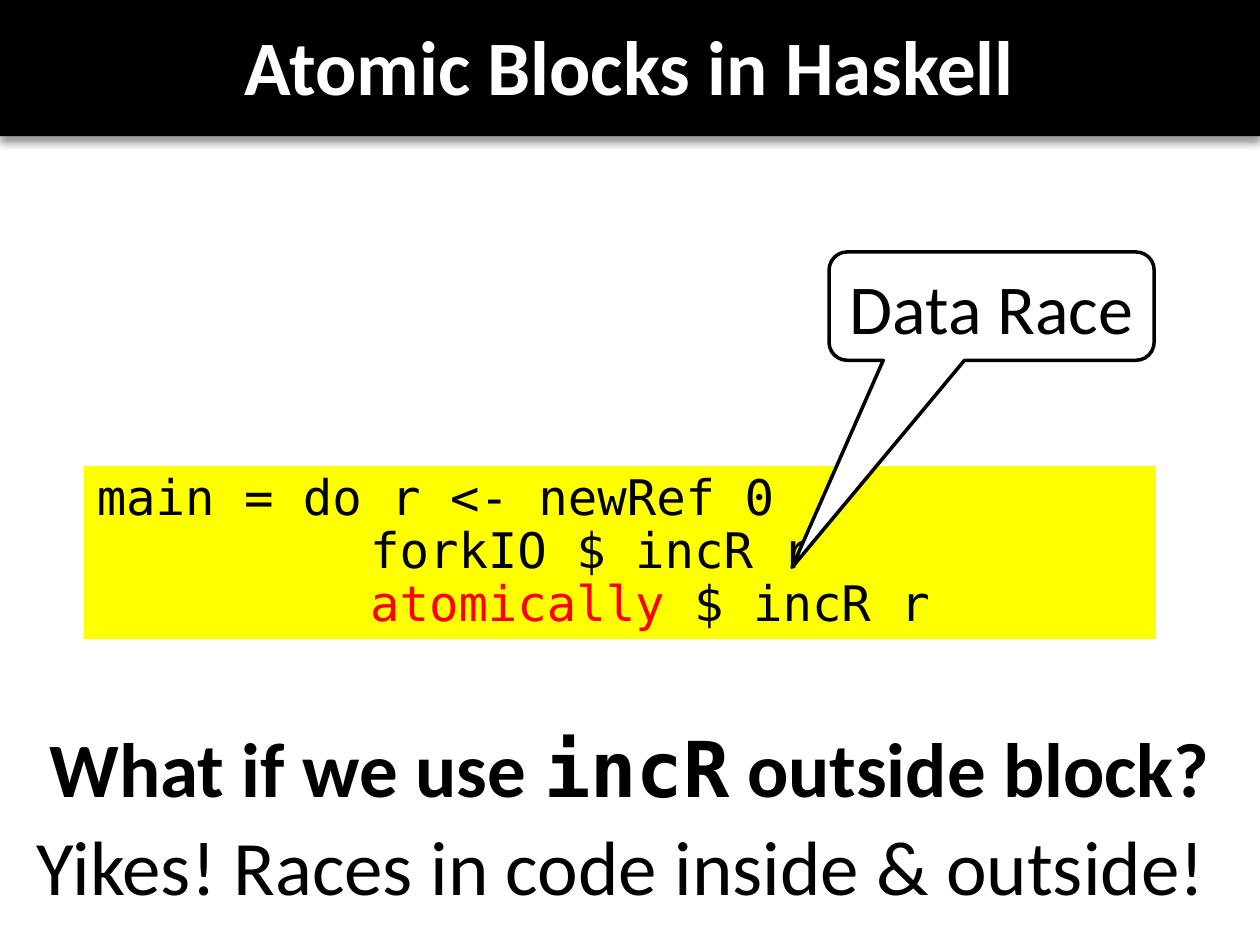
from dataclasses import dataclass
from lxml.etree import SubElement
from pptx import Presentation
from pptx.dml.color import RGBColor
from pptx.enum.shapes import MSO_SHAPE
from pptx.enum.text import MSO_ANCHOR, PP_ALIGN
from pptx.oxml import parse_xml
from pptx.oxml.ns import nsdecls, qn
from pptx.util import Inches, Pt


@dataclass(frozen=True)
class Theme:
    """Hold the colours, fonts and type sizes of the slide."""
    black: str = "000000"
    white: str = "FFFFFF"
    yellow: str = "FFFF00"
    red: str = "FF0000"
    sans: str = "Calibri"
    mono: str = "DejaVu Sans Mono"
    big: int = 44
    label: int = 40
    code: int = 28


THEME = Theme()


def style(font, size=None, name=None, color=None, bold=None):
    """Set only the font values that are given."""
    if size:
        font.size = Pt(size)
    if name:
        font.name = name
    if color:
        font.color.rgb = RGBColor.from_string(color)
    if bold is not None:
        font.bold = bold


def add_text(para, parts, align=PP_ALIGN.CENTER, **look):
    """Fill a paragraph with runs of (text, own look)."""
    para.alignment = align
    style(para.font, **look)
    for text, own in parts:
        run = para.add_run()
        run.text = text
        style(run.font, **own)


def add_box(slide, left, top, width, height):
    """Add a wrapping text box and return its frame."""
    box = slide.shapes.add_textbox(
        Inches(left), Inches(top), Inches(width), Inches(height))
    box.text_frame.word_wrap = True
    return box.text_frame


def add_block(slide, kind, spot, fill, line=None, weight=0.75):
    """Add a filled shape without a shadow."""
    shape = slide.shapes.add_shape(kind, *map(Inches, spot))
    shape.shadow.inherit = False
    shape.fill.solid()
    shape.fill.fore_color.rgb = RGBColor.from_string(fill)
    if line:
        shape.line.color.rgb = RGBColor.from_string(line)
        shape.line.width = Pt(weight)
    else:
        shape.line.fill.background()
    shape.text_frame.vertical_anchor = MSO_ANCHOR.MIDDLE
    shape.text_frame.word_wrap = True
    return shape


def add_shade(shape):
    """Give a shape a soft shadow below it."""
    effects = shape._element.spPr.find(qn("a:effectLst"))
    shade = SubElement(effects, qn("a:outerShdw"), blurRad=str(Pt(4)),
                       dist=str(Pt(4)), dir="5400000", rotWithShape="0")
    color = SubElement(shade, qn("a:srgbClr"), val=THEME.black)
    SubElement(color, qn("a:alpha"), val="40000")


def add_tab(para, place):
    """Set one left tab stop on a paragraph."""
    tabs = parse_xml(f'<a:tabLst {nsdecls("a")}>'
                     f'<a:tab pos="{Inches(place)}" algn="l"/></a:tabLst>')
    para._p.get_or_add_pPr().find(qn("a:defRPr")).addprevious(tabs)


def add_title(slide, text):
    """Add the black banner and its title."""
    banner = add_block(slide, MSO_SHAPE.RECTANGLE, (0, 0, 10, 1.08),
                       THEME.black)
    add_shade(banner)
    frame = add_box(slide, 0.5, 0.1, 9, 1.25)
    add_text(frame.paragraphs[0], [(text, {})], size=THEME.big,
             name=THEME.sans, color=THEME.white, bold=True)


def add_notes(slide):
    """Add the question and its answer."""
    frame = add_box(slide, 0, 5.75, 10, 1.75)
    sans, mono = {"name": THEME.sans}, {"name": THEME.mono}
    ask = [("What if we use ", sans), ("incR", mono),
           (" outside block?", sans)]
    reply = [("Yikes! Races in code inside & outside! ", sans)]
    rows = [(frame.paragraphs[0], ask, True),
            (frame.add_paragraph(), reply, False)]
    for para, parts, bold in rows:
        para.line_spacing = 0.9
        para.space_before = Pt(8.8)
        add_text(para, parts, size=THEME.big, color=THEME.black, bold=bold)


def add_code(slide, lines):
    """Add the code panel, one line break between lines."""
    panel = add_block(slide, MSO_SHAPE.RECTANGLE, (0.67, 3.7, 8.5, 1.37),
                      THEME.yellow, THEME.yellow)
    para = panel.text_frame.paragraphs[0]
    para.line_spacing = 0.9
    for num, parts in enumerate(lines):
        if num:
            para.add_line_break()
        add_text(para, parts, PP_ALIGN.LEFT, size=THEME.code,
                 name=THEME.mono)
    add_tab(para, 2.17)


def add_callout(slide, text):
    """Add the speech callout that points at the code."""
    callout = add_block(slide, MSO_SHAPE.ROUNDED_RECTANGULAR_CALLOUT,
                        (6.58, 2, 2.58, 0.86), THEME.white, THEME.black, 2)
    for num, value in enumerate((-0.614, 2.412, 0.167)):
        callout.adjustments[num] = value
    add_text(callout.text_frame.paragraphs[0], [(text, {})],
             size=THEME.label, name=THEME.sans, color=THEME.black)


def main():
    """Build the slide and save it."""
    deck = Presentation()
    deck.slide_width, deck.slide_height = Inches(10), Inches(7.5)
    slide = deck.slides.add_slide(deck.slide_layouts[6])
    dark, hot = {"color": THEME.black}, {"color": THEME.red}
    add_title(slide, "Atomic Blocks in Haskell")
    add_notes(slide)
    add_code(slide, [
        [("main = do r <- newRef 0", dark)],
        [("\tforkIO $ incR r", dark)],
        [("\tatomically ", hot), ("$ incR r", dark)],
    ])
    add_callout(slide, "Data Race")
    deck.save("out.pptx")


main()
